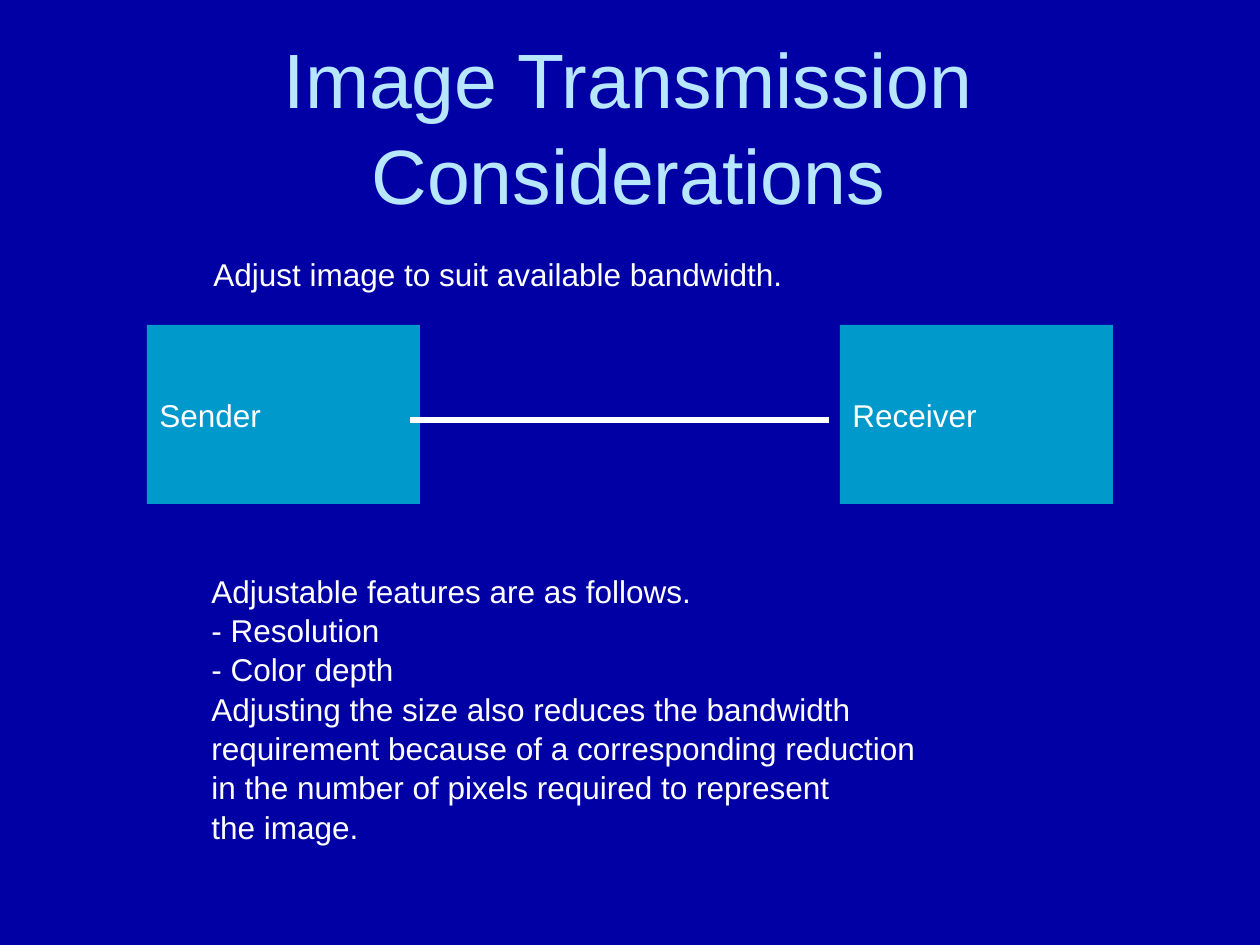
"""Build a slide on adjusting images to the bandwidth between sender and receiver."""
from lxml import etree
from pptx import Presentation
from pptx.dml.color import RGBColor
from pptx.enum.shapes import MSO_CONNECTOR, MSO_SHAPE
from pptx.enum.text import MSO_ANCHOR, PP_ALIGN
from pptx.oxml.ns import qn
from pptx.util import Pt

RECTANGLE = MSO_SHAPE.RECTANGLE
STRAIGHT = MSO_CONNECTOR.STRAIGHT
MIDDLE = MSO_ANCHOR.MIDDLE
LEFT, CENTER = PP_ALIGN.LEFT, PP_ALIGN.CENTER
SCALE = 914400 / 126
WHITE = "FFFFFF"


def px(*lengths):
    return [round(length * SCALE) for length in lengths]


def write(shape, text, size=18, color=WHITE, align=LEFT):
    frame = shape.text_frame
    frame.word_wrap = True
    frame.vertical_anchor = MIDDLE
    frame.text = text
    for paragraph in frame.paragraphs:
        paragraph.alignment = align
        paragraph.line_spacing = 1.04
        for run in paragraph.runs:
            run.font.name = "Arial"
            run.font.size = Pt(size)
            run.font.color.rgb = RGBColor.from_string(color)


deck = Presentation()
deck.slide_width, deck.slide_height = px(1260, 945)
slide = deck.slides.add_slide(deck.slide_layouts[6])
slide.background.fill.solid()
slide.background.fill.fore_color.rgb = RGBColor.from_string("0000A4")

title = slide.shapes.add_textbox(*px(42, 32, 1173, 183))
write(title, "Image Transmission Considerations", 44, "B7E7FF", CENTER)

for left, role in ((147, "Sender"), (840, "Receiver")):
    station = slide.shapes.add_shape(RECTANGLE, *px(left, 325, 273, 179))
    station.shadow.inherit = False
    station.fill.solid()
    station.fill.fore_color.rgb = RGBColor.from_string("0099CC")
    station.line.fill.background()
    write(station, role)

link = slide.shapes.add_connector(STRAIGHT, *px(410, 420, 829, 420))
link.line.color.rgb = RGBColor.from_string(WHITE)
link.line.width = Pt(3)
etree.SubElement(link._element.spPr, qn("a:effectLst"))

advice = slide.shapes.add_textbox(*px(201, 242, 805, 63))
write(advice, "Adjust image to suit available bandwidth.")

features = slide.shapes.add_textbox(*px(199, 525, 963, 366))
write(features, "\n".join((
    "Adjustable features are as follows.",
    "- Resolution",
    "- Color depth",
    "Adjusting the size also reduces the bandwidth",
    "requirement because of a corresponding reduction",
    "in the number of pixels required to represent",
    "the image.",
)))

deck.save("out.pptx")
